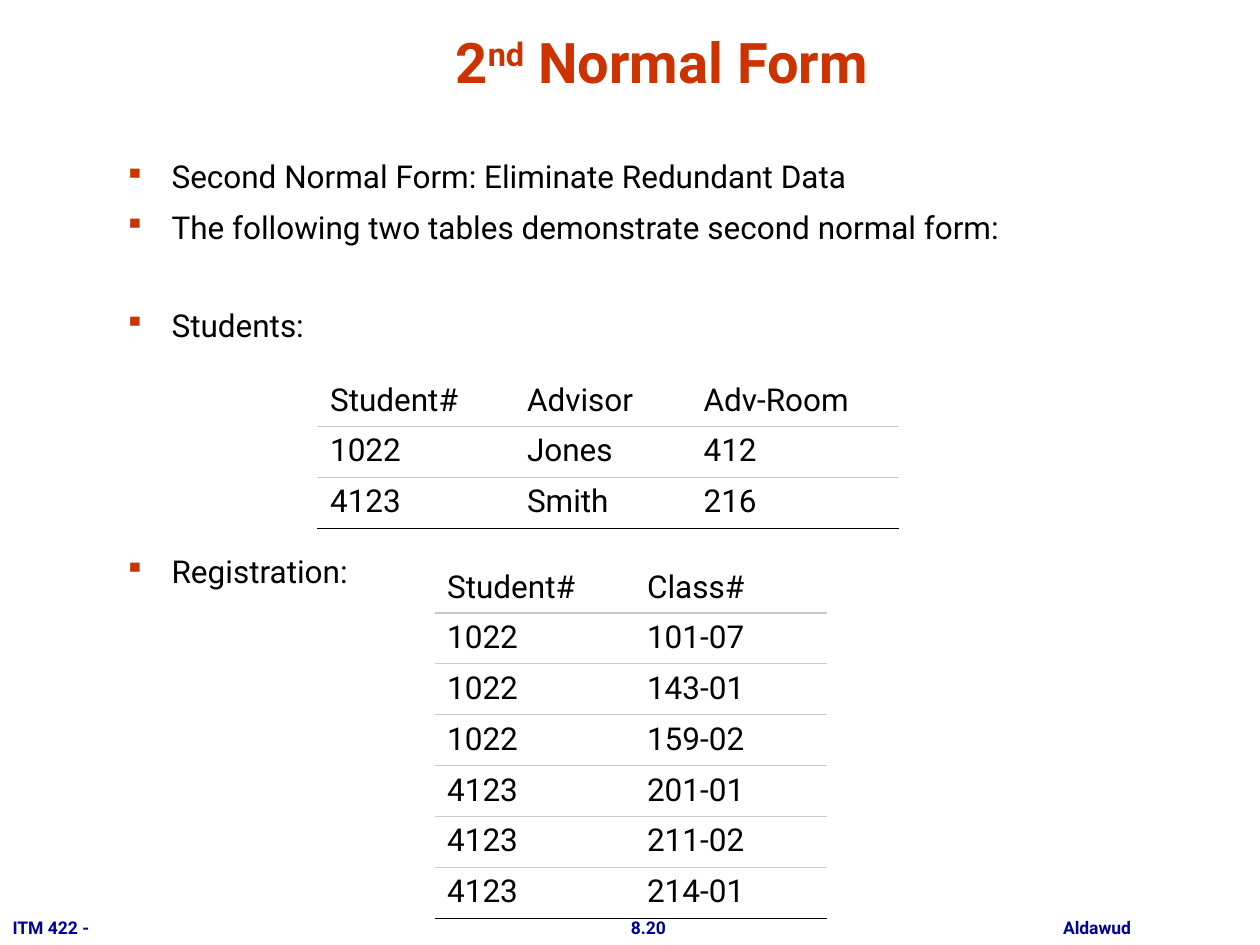
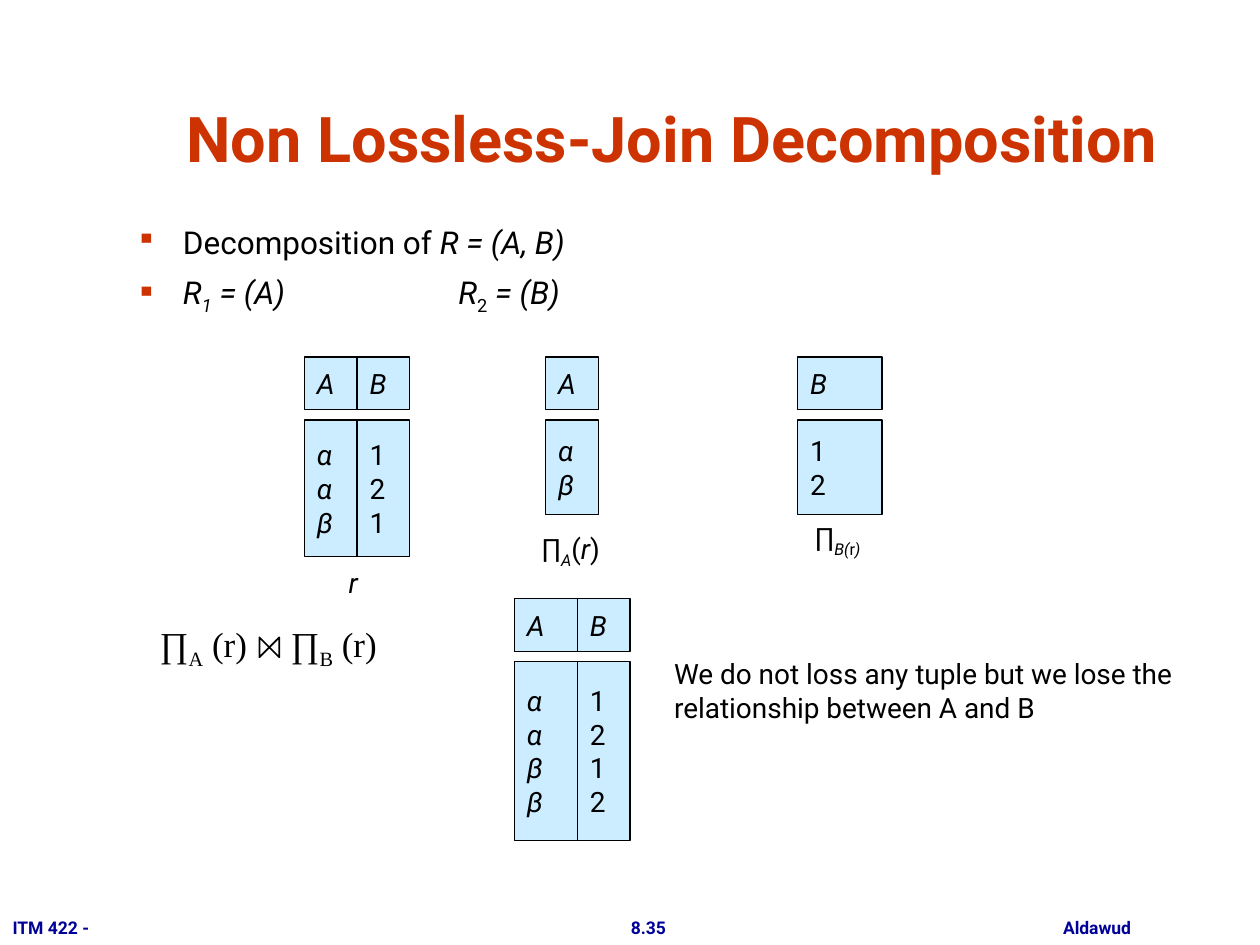
from dataclasses import dataclass

import pptx
import pptx.dml.color
import pptx.enum.shapes
import pptx.enum.text
import pptx.oxml
import pptx.oxml.ns
import pptx.util
from pptx.util import Cm

# Shared look
RED, NAVY, BLACK, WHITE = "CC3300", "000099", "000000", "FFFFFF"
PALE_BLUE, GREY = "CCECFF", "C9C9C9"
FONT, SERIF = "Roboto", "Times New Roman"
BULLET_GAP = 7
NO_GRID_STYLE = "{2D5ABB26-0587-4C30-8999-92F81FD0307C}"
LEFT, CENTER = pptx.enum.text.PP_ALIGN.LEFT, pptx.enum.text.PP_ALIGN.CENTER
TOP = pptx.enum.text.MSO_ANCHOR.TOP
MIDDLE = pptx.enum.text.MSO_ANCHOR.MIDDLE
BOTTOM = pptx.enum.text.MSO_ANCHOR.BOTTOM


@dataclass
class Frame:
    """Position and size in centimetres."""
    left: float
    top: float
    width: float
    height: float

    def lengths(self) -> list:
        return [Cm(n) for n in (self.left, self.top, self.width, self.height)]


@dataclass
class Style:
    size: float
    color: str = BLACK
    bold: bool = False
    italic: bool = False
    font: str = FONT
    align: int = LEFT


@dataclass
class Span:
    text: str
    italic: bool | None = None
    baseline: int = 0  # percent: above zero is raised, below is lowered


@dataclass
class Para:
    spans: list[Span]
    gap: float = 0
    bullet: bool = False
    tab: float = 0


@dataclass
class Column:
    name: str
    values: str  # one character per row
    width: float


@dataclass
class Relation:
    left: float
    top: float
    columns: list[Column]


@dataclass
class Grid:
    left: float
    top: float
    widths: list[float]
    rows: list[list[str]]


BODY = Style(18)
CELL = Style(16)
CELL_ITALIC = Style(16, italic=True)
FOOTER = Style(10, NAVY, bold=True, align=CENTER)


def rgb(code: str) -> pptx.dml.color.RGBColor:
    return pptx.dml.color.RGBColor.from_string(code)


def plain(text: str) -> Para:
    return Para([Span(text)])


def bullet(*spans: Span, gap: float = BULLET_GAP, tab: float = 0) -> Para:
    return Para(list(spans), gap, True, tab)


def add_xml(parent, xml: str, index: int | None = None) -> None:
    """Parse one DrawingML element and put it into its parent."""
    head, rest = xml[:-1].split(" ", 1) if " " in xml else (xml[:-1], "")
    name = head.lstrip("<").split(">")[0].rstrip("/")
    element = pptx.oxml.parse_xml(
        xml.replace(name, f"{name} {pptx.oxml.ns.nsdecls('a')}", 1))
    parent.insert(len(parent) if index is None else index, element)


def set_paragraph(paragraph, para: Para, style: Style) -> None:
    paragraph.alignment = style.align
    if para.gap:
        paragraph.space_before = pptx.util.Pt(para.gap)
    props = paragraph._p.get_or_add_pPr()
    if para.bullet:
        props.set("marL", str(Cm(0.95)))
        props.set("indent", str(-Cm(0.95)))
        add_xml(props, f'<a:buClr><a:srgbClr val="{RED}"/></a:buClr>')
        add_xml(props, '<a:buSzPct val="90000"/>')
        add_xml(props, '<a:buChar char="▪"/>')
    if para.tab:
        add_xml(props, f'<a:tabLst><a:tab pos="{Cm(para.tab)}" algn="l"/></a:tabLst>')
    font = paragraph.font
    font.name, font.size = style.font, pptx.util.Pt(style.size)
    font.bold, font.italic = style.bold, style.italic
    font.color.rgb = rgb(style.color)
    for span in para.spans:
        run = paragraph.add_run()
        run.text = span.text
        if span.italic is not None:
            run.font.italic = span.italic
        if span.baseline:
            run._r.get_or_add_rPr().set("baseline", str(span.baseline * 1000))


def fill_text(text_frame, paras: list[Para], style: Style,
              anchor=TOP, wrap: bool = True) -> None:
    text_frame.word_wrap = wrap
    text_frame.vertical_anchor = anchor
    for index, para in enumerate(paras):
        paragraph = text_frame.add_paragraph() if index else text_frame.paragraphs[0]
        set_paragraph(paragraph, para, style)


def add_text(page, frame: Frame, paras: list[Para], style: Style,
             anchor=TOP, wrap: bool = True) -> None:
    box = page.shapes.add_textbox(*frame.lengths())
    fill_text(box.text_frame, paras, style, anchor, wrap)


def add_page(deck, number: str, title: list[Span], frame: Frame, size: float):
    """A blank page with the shared footer and title."""
    page = deck.slides.add_slide(deck.slide_layouts[6])
    for text, left, width in (("Aldawud", 21.11, 2.01), (number, 12.45, 1.24),
                              ("ITM 422 -", 0, 2.05)):
        add_text(page, Frame(left, 18.36, width, 0.69), [plain(text)], FOOTER, wrap=False)
    add_text(page, frame, [Para(title)], Style(size, RED, bold=True, align=CENTER), BOTTOM)
    return page


def add_grid(page, grid: Grid) -> None:
    """A white table ruled below each row, in black below the last."""
    row_height = 1.026
    frame = Frame(grid.left, grid.top, sum(grid.widths), row_height * len(grid.rows))
    table = page.shapes.add_table(
        len(grid.rows), len(grid.widths), *frame.lengths()).table
    table._tbl.tblPr.find(pptx.oxml.ns.qn("a:tableStyleId")).text = NO_GRID_STYLE
    table.first_row = table.horz_banding = False
    for column, width in zip(table.columns, grid.widths):
        column.width = Cm(width)
    for r, row in enumerate(grid.rows):
        rule = BLACK if r == len(grid.rows) - 1 else GREY
        for c, text in enumerate(row):
            cell = table.cell(r, c)
            cell.fill.solid()
            cell.fill.fore_color.rgb = rgb(WHITE)
            cell.vertical_anchor = TOP if r else MIDDLE
            set_paragraph(cell.text_frame.paragraphs[0], plain(text), BODY)
            add_xml(cell._tc.get_or_add_tcPr(),
                    f'<a:lnB w="9525"><a:solidFill><a:srgbClr val="{rule}"/>'
                    '</a:solidFill></a:lnB>', 0)


def add_cell_box(page, frame: Frame, lines: str, style: Style) -> None:
    box = page.shapes.add_shape(
        pptx.enum.shapes.MSO_SHAPE.RECTANGLE, *frame.lengths())
    box.shadow.inherit = False
    box.fill.solid()
    box.fill.fore_color.rgb = rgb(PALE_BLUE)
    box.line.color.rgb = rgb(BLACK)
    box.line.width = pptx.util.Pt(0.75)
    fill_text(box.text_frame, [plain(line) for line in lines], style, MIDDLE, False)


def add_relation(page, relation: Relation) -> None:
    """Column headings with a box of values under each."""
    left = relation.left
    for column in relation.columns:
        add_cell_box(page, Frame(left, relation.top, column.width, 1.06),
                     column.name, CELL_ITALIC)
        height = 0.85 * len(column.values) + 0.2
        add_cell_box(page, Frame(left, relation.top + 1.27, column.width, height),
                     column.values, CELL if column.values.isdigit() else CELL_ITALIC)
        left += column.width


def add_bowtie(page, left: float, top: float, side: float) -> None:
    """The join sign."""
    right, bottom = left + side, top + side
    builder = page.shapes.build_freeform(Cm(left), Cm(top))
    builder.add_line_segments(
        [(Cm(x), Cm(y)) for x, y in ((left, bottom), (right, top), (right, bottom))])
    sign = builder.convert_to_shape()
    sign.shadow.inherit = False
    sign.fill.background()
    sign.line.color.rgb = rgb(BLACK)
    sign.line.width = pptx.util.Pt(1)


deck = pptx.Presentation()
deck.slide_width, deck.slide_height = Cm(25.4), Cm(19.05)

# Second normal form
page = add_page(deck, "8.20", [Span("2"), Span("nd", baseline=30), Span(" Normal Form")],
                Frame(2.13, 0.33, 22.43, 1.7), 32)
add_text(page, Frame(2.26, 3.05, 21.29, 13.61), [
    bullet(Span("Second Normal Form: Eliminate Redundant Data")),
    bullet(Span("The following two tables demonstrate second normal form:")),
    bullet(Span("Students:"), gap=34.5),
    bullet(Span("Registration:"), gap=119),
], BODY)
add_grid(page, Grid(6.4, 7.57, [3.97, 3.56, 4.19], [
    ["Student#", "Advisor", "Adv-Room"],
    ["1022", "Jones", "412"],
    ["4123", "Smith", "216"],
]))
classes = {"1022": ["101-07", "143-01", "159-02"],
           "4123": ["201-01", "211-02", "214-01"]}
add_grid(page, Grid(8.76, 11.33, [4.03, 3.89], [["Student#", "Class#"]] + [
    [student, code] for student, codes in classes.items() for code in codes]))

# Non lossless-join decomposition
page = add_page(deck, "8.35", [Span("Non Lossless-Join Decomposition")],
                Frame(1.7, 2.39, 23.7, 1.27), 36)
add_text(page, Frame(2.49, 4.37, 19.58, 2.24), [
    bullet(Span("Decomposition of "), Span("R = (A, B)", True)),
    bullet(Span("R", True), Span("1", True, -25), Span(" = (A)\tR", True),
           Span("2", baseline=-25), Span(" = (B)", True), tab=6.5),
], BODY)

for relation in (
    Relation(6.14, 7.2, [Column("A", "ααβ", 1.06), Column("B", "121", 1.06)]),
    Relation(11, 7.2, [Column("A", "αβ", 1.06)]),
    Relation(16.08, 7.2, [Column("B", "12", 1.7)]),
    Relation(10.37, 12.07, [Column("A", "ααββ", 1.27), Column("B", "1212", 1.06)]),
):
    add_relation(page, relation)

# Labels under the relations
for frame, spans in (
    (Frame(6.78, 11.23, 0.71, 1.02), [Span("r", True)]),
    (Frame(10.67, 10.59, 1.96, 1.02),
     [Span("∏"), Span("A", True, -25), Span("("), Span("r", True), Span(")")]),
    (Frame(16.18, 10.36, 1.75, 1.02),
     [Span("∏"), Span("B(", True, -25), Span("r", baseline=-25), Span(")", True, -25)]),
):
    add_text(page, frame, [Para(spans)], CELL, MIDDLE, False)

# Join of the projections
add_text(page, Frame(2.97, 12.42, 6.99, 2.41), [
    Para([Span("∏"), Span("A", baseline=-25), Span(" (r)\t∏"),
          Span("B", baseline=-25), Span(" (r)")], tab=2.64),
], Style(20, font=SERIF))
add_bowtie(page, 5.23, 12.85, 0.4)
add_text(page, Frame(13.34, 13.11, 11.46, 1.78), [
    plain("We do not loss any tuple but we lose the relationship between A and B")], CELL)

deck.save("out.pptx")
